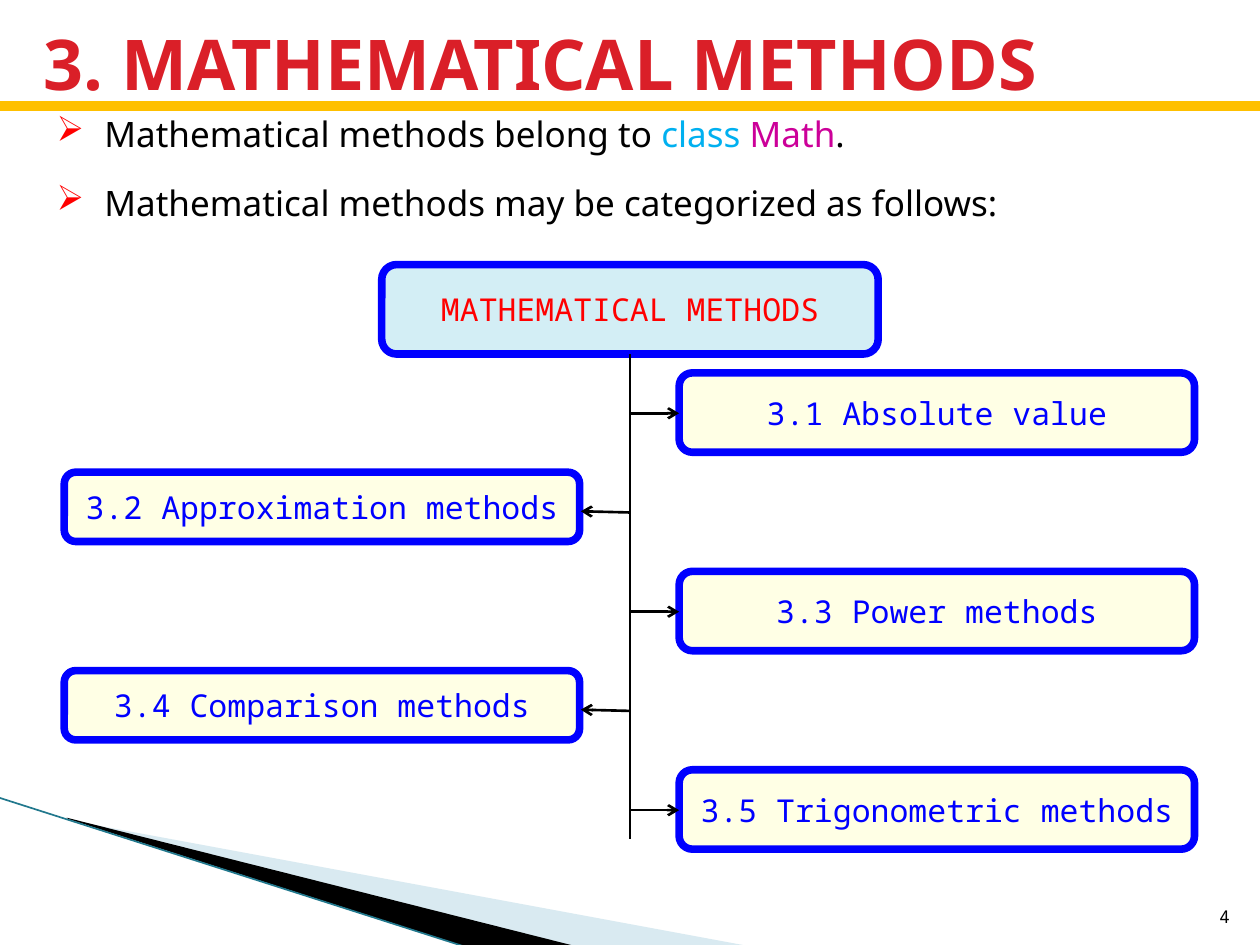
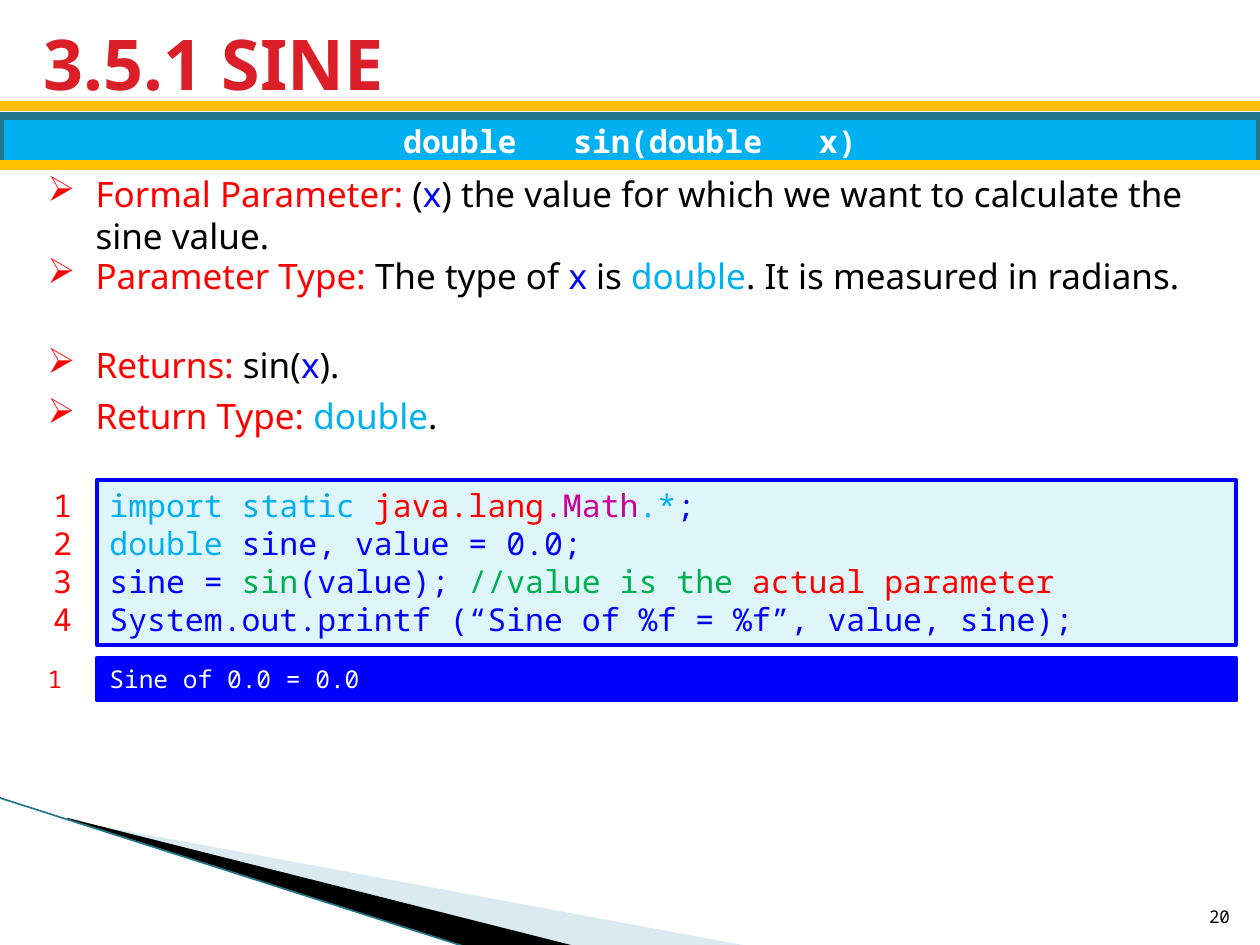
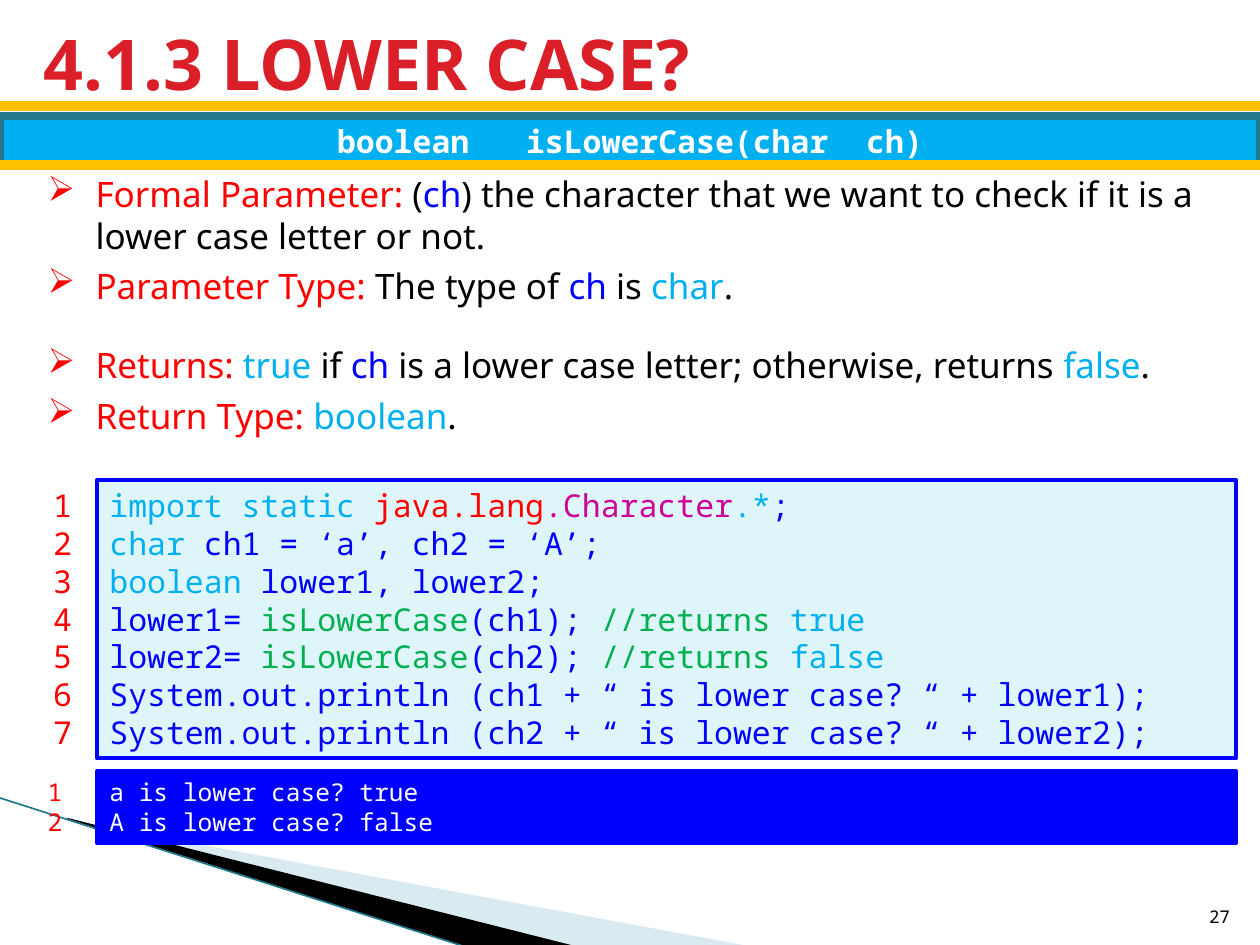
from lxml.etree import SubElement
from pptx import Presentation
from pptx.dml.color import RGBColor
from pptx.enum.shapes import MSO_CONNECTOR, MSO_SHAPE
from pptx.enum.text import MSO_ANCHOR, PP_ALIGN
from pptx.oxml.ns import qn
from pptx.util import Inches, Pt

SANS, MONO = "Noto Sans", "Noto Sans Mono"
BLACK, WHITE, RED, BLUE = "000000", "FFFFFF", "FF0000", "0000FF"
SKY, GREEN, MAGENTA = "00B0F0", "00B050", "CC0099"
TITLE_RED, GOLD, TEAL = "DA1F28", "FFC000", "21788D"
PALE_BLUE, CREAM, CODE_FILL, SWOOSH = "D3EEF5", "FFFFE5", "DEF5FA", "A0CBDC"


def rgb(code):
    return RGBColor.from_string(code)


def write(frame, paragraphs, font=SANS, size=20, color=BLACK, bold=False,
          align=PP_ALIGN.LEFT, anchor=MSO_ANCHOR.TOP, tight=False, bullet=None):
    frame.word_wrap = True
    frame.vertical_anchor = anchor
    for index, runs in enumerate(paragraphs):
        line = frame.add_paragraph() if index else frame.paragraphs[0]
        line.alignment = align
        if tight:
            line.line_spacing = Pt(1.2 * size)
        if bullet:
            props = line._p.get_or_add_pPr()
            props.set("marL", str(Inches(0.38)))
            props.set("indent", str(-Inches(0.38)))
            tint = SubElement(props, qn("a:buClr"))
            SubElement(tint, qn("a:srgbClr")).set("val", RED)
            SubElement(props, qn("a:buChar")).set("char", bullet)
        for words, tone in [(runs, color)] if isinstance(runs, str) else runs:
            run = line.add_run()
            run.text = words
            run.font.name, run.font.size, run.font.bold = font, Pt(size), bold
            run.font.color.rgb = rgb(tone)


def add_text(slide, place, paragraphs, **style):
    label = slide.shapes.add_textbox(*map(Inches, place))
    write(label.text_frame, paragraphs, **style)


def add_box(slide, place, paragraphs, fill, border, width,
            kind=MSO_SHAPE.RECTANGLE, **style):
    box = slide.shapes.add_shape(kind, *map(Inches, place))
    box.shadow.inherit = False
    box.fill.solid()
    box.fill.fore_color.rgb = rgb(fill)
    box.line.color.rgb = rgb(border)
    box.line.width = Pt(width)
    write(box.text_frame, paragraphs, font=MONO, **style)


def add_line(slide, start, end, color=BLACK, width=1.5, arrow=False):
    line = slide.shapes.add_connector(
        MSO_CONNECTOR.STRAIGHT, *map(Inches, start + end))
    line.line.color.rgb = rgb(color)
    line.line.width = Pt(width)
    if arrow:
        SubElement(line.line._get_or_add_ln(), qn("a:tailEnd")).set("type", "arrow")
    SubElement(line._element.spPr, qn("a:effectLst"))


def add_wedge(slide, points, color, opacity=100):
    corners = [tuple(map(Inches, point)) for point in points]
    outline = slide.shapes.build_freeform(*corners[0], scale=1.0)
    outline.add_line_segments(corners[1:], close=True)
    wedge = outline.convert_to_shape()
    wedge.shadow.inherit = False
    wedge.fill.solid()
    wedge.fill.fore_color.rgb = rgb(color)
    wedge.line.fill.background()
    if opacity < 100:
        tint = wedge._element.spPr.find(qn("a:solidFill"))[0]
        SubElement(tint, qn("a:alpha")).set("val", str(opacity * 1000))


def add_rule(slide, top):
    add_line(slide, (0, top), (10, top), GOLD, 6)


def add_bullet(slide, left, top, runs, height=0.44):
    add_text(slide, (left, top, 9.45, height), [runs], bullet="➢",
             tight=height > 0.5)


def start_slide(deck, title, number):
    slide = deck.slides.add_slide(deck.slide_layouts[6])
    add_wedge(slide, [(0.55, 6.51), (5.95, 7.51), (4.56, 7.51), (0.55, 6.5)],
              SWOOSH, 40)
    add_wedge(slide, [(0.53, 6.49), (4.57, 7.51), (3.72, 7.52), (0.54, 6.5)], BLACK)
    add_line(slide, (-0.01, 6.33), (3.71, 7.52), TEAL, 0.95)
    add_rule(slide, 0.84)
    add_text(slide, (0.25, 0.17, 9.47, 0.65), [title], size=40, color=TITLE_RED,
             bold=True, anchor=MSO_ANCHOR.MIDDLE)
    add_text(slide, (9.46, 7.01, 0.4, 0.4), [str(number)], font=MONO, size=10,
             align=PP_ALIGN.RIGHT, anchor=MSO_ANCHOR.BOTTOM)
    return slide


def add_listing(slide, code, output):
    code_top, code_height = 3.81, 0.11 + 0.3 * len(code)
    output_top, output_height = code_top + code_height + 0.1, 0.11 + 0.23 * len(output)
    code_numbers = [str(n + 1) for n in range(len(code))]
    add_box(slide, (0.77, code_top, 9.04, code_height), code, CODE_FILL, BLUE, 2.25,
            size=18, color=BLUE, tight=True)
    add_text(slide, (0.2, code_top, 0.47, code_height), code_numbers, font=MONO,
             size=18, color=RED, align=PP_ALIGN.RIGHT, tight=True)
    add_box(slide, (0.77, output_top, 9.04, output_height), output, BLUE, BLUE, 2.25,
            size=14, color=WHITE, tight=True)
    add_text(slide, (0.28, output_top, 0.27, output_height),
             code_numbers[:len(output)], font=MONO, size=14, color=RED, tight=True)


def method_slide(deck, title, number, signature, formal, kind, kind_top,
                 returns, return_type, code, output):
    slide = start_slide(deck, title, number)
    add_box(slide, (0, 0.92, 10, 0.39), [signature], SKY, TEAL, 4.33, size=18,
            color=WHITE, bold=True, align=PP_ALIGN.CENTER, anchor=MSO_ANCHOR.MIDDLE)
    add_rule(slide, 1.31)
    add_bullet(slide, 0.28, 1.32, [("Formal Parameter:", RED)] + formal, 0.77)
    add_bullet(slide, 0.28, kind_top,
               [("Parameter Type:", RED), (" The type of ", BLACK)] + kind)
    add_bullet(slide, 0.28, 2.68, [("Returns:", RED)] + returns)
    add_bullet(slide, 0.28, 3.08,
               [("Return Type: ", RED), (return_type, SKY), (".", BLACK)])
    add_listing(slide, code, output)


def import_line(class_name):
    return [("import static ", SKY), ("java.lang", RED),
            ("." + class_name, MAGENTA), (".*", SKY), (";", BLUE)]


def overview_slide(deck):
    slide = start_slide(deck, "3. MATHEMATICAL METHODS", 4)
    add_bullet(slide, 0.35, 0.84, [("Mathematical methods belong to ", BLACK),
                                   ("class ", SKY), ("Math", MAGENTA), (".", BLACK)])
    add_bullet(slide, 0.35, 1.39,
               "Mathematical methods may be categorized as follows:")
    node = dict(border=BLUE, width=4.33, kind=MSO_SHAPE.ROUNDED_RECTANGLE, size=18,
                align=PP_ALIGN.CENTER, anchor=MSO_ANCHOR.MIDDLE)
    add_box(slide, (3.03, 2.1, 3.94, 0.71), ["MATHEMATICAL METHODS"], PALE_BLUE,
            color=RED, **node)
    add_line(slide, (5, 2.81), (5, 6.66))
    categories = ["Absolute value", "Approximation methods", "Power methods",
                  "Comparison methods", "Trigonometric methods"]
    pitch = 3.15 / 4
    for index, category in enumerate(categories):
        on_left = index % 2
        left, height, tip = (0.51, 0.55, 4.61) if on_left else (5.39, 0.63, 5.39)
        branch = 3.28 + pitch * index
        add_box(slide, (left, 2.96 + pitch * index, 4.09, height),
                [f"3.{index + 1} {category}"], CREAM, color=BLUE, **node)
        add_line(slide, (5, branch), (tip, branch - 0.01 * on_left), arrow=True)


def sine_slide(deck):
    method_slide(
        deck, "3.5.1 SINE", 20, "double   sin(double   x)",
        formal=[(" (", BLACK), ("x", BLUE),
                (") the value for which we want to calculate the sine value.", BLACK)],
        kind=[("x", BLUE), (" is ", BLACK), ("double", SKY),
              (". It is measured in radians.", BLACK)],
        kind_top=1.97,
        returns=[(" sin(", BLACK), ("x", BLUE), (").", BLACK)],
        return_type="double",
        code=[import_line("Math"),
              [("double", SKY), (" sine, value = 0.0; ", BLUE)],
              [("sine = ", BLUE), ("sin", GREEN), ("(value); ", BLUE),
               ("//value is the ", GREEN), ("actual parameter", RED)],
              "System.out.printf (“Sine of %f = %f”, value, sine);"],
        output=["Sine of 0.0 = 0.0"])


def lower_case_slide(deck):
    checks = [[(f"lower{n}= ", BLUE), ("isLowerCase", GREEN), (f"(ch{n}); ", BLUE),
               ("//returns ", GREEN), (answer, SKY)]
              for n, answer in ((1, "true"), (2, "false"))]
    prints = [f"System.out.println (ch{n} + “ is lower case? “ + lower{n});"
              for n in (1, 2)]
    method_slide(
        deck, "4.1.3 LOWER CASE? ", 27, "boolean   isLowerCase(char  ch)",
        formal=[(" (", BLACK), ("ch", BLUE),
                (") the character that we want to check if it is a lower case "
                 "letter or not.", BLACK)],
        kind=[("ch", BLUE), (" is ", BLACK), ("char", SKY), (". ", BLACK)],
        kind_top=2.05,
        returns=[(" ", RED), ("true ", SKY), ("if ", BLACK), ("ch", BLUE),
                 (" is a lower case letter; otherwise, returns ", BLACK),
                 ("false", SKY), (".", BLACK)],
        return_type="boolean",
        code=[import_line("Character"),
              [("char", SKY), (" ch1 = ‘a’, ch2 = ‘A’; ", BLUE)],
              [("boolean", SKY), (" lower1, lower2;", BLUE)]] + checks + prints,
        output=["a is lower case? true", "A is lower case? false"])


def main():
    deck = Presentation()
    deck.slide_width, deck.slide_height = Inches(10), Inches(7.5)
    overview_slide(deck)
    sine_slide(deck)
    lower_case_slide(deck)
    deck.save("out.pptx")


main()
